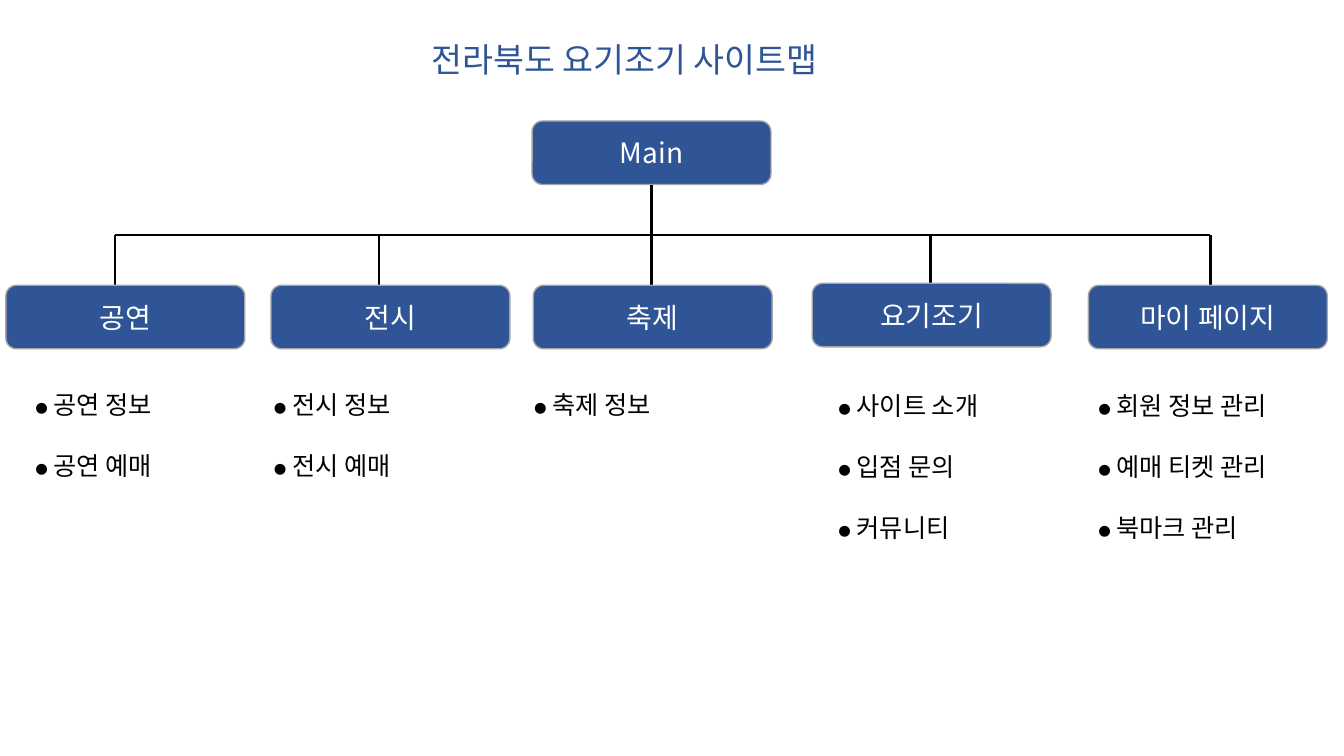
from dataclasses import dataclass

from lxml import etree
from pptx import Presentation
from pptx.dml.color import RGBColor
from pptx.enum import shapes, text
from pptx.oxml import ns
from pptx.slide import Slide
from pptx.text.text import TextFrame
from pptx.util import Cm, Pt

FONT = "Noto Sans CJK KR"
COLORS = {"blue": "2F5597", "border": "A5A5A5", "black": "000000", "white": "FFFFFF"}

# Shared measures in centimetres
NODE_WIDTH, NODE_HEIGHT = 6.02, 1.6
MAIN_LEFT, MAIN_TOP = 13.41, 3.05
MAIN_AXIS = 16.41
BUS_TOP, BRANCH_TOP = 5.92, 7.19
LIST_WIDTH, LIST_INDENT = 6.2, 0.46
LIST_LINE = 21.8  # points


@dataclass
class Branch:
    label: str
    left: float
    axis: float
    list_left: float
    items: list[str]
    top: float = BRANCH_TOP
    list_top: float = 9.68


BRANCHES = [
    Branch("공연", 0.15, 2.9, 0.64, ["공연 정보", "공연 예매"]),
    Branch("전시", 6.83, 9.55, 6.65, ["전시 정보", "전시 예매"]),
    Branch("축제", 13.44, MAIN_AXIS, 13.21, ["축제 정보"]),
    Branch("요기조기", 20.47, 23.44, 20.88, ["사이트 소개", "입점 문의", "커뮤니티"],
           top=7.14, list_top=9.7),
    Branch("마이 페이지", 27.43, 30.5, 27.43,
           ["회원 정보 관리", "예매 티켓 관리", "북마크 관리"], list_top=9.7),
]


def color(name: str) -> RGBColor:
    return RGBColor.from_string(COLORS[name])


def style_text(frame: TextFrame, size: int, color_name: str) -> None:
    for paragraph in frame.paragraphs:
        for span in paragraph.runs:
            span.font.name = FONT
            span.font.size = Pt(size)
            span.font.color.rgb = color(color_name)
            east_asian = etree.SubElement(span.font._element, ns.qn("a:ea"))
            east_asian.set("typeface", FONT)


def add_title(page: Slide, wording: str) -> None:
    box = page.shapes.add_textbox(Cm(10.62), Cm(0.84), Cm(11.58), Cm(1.28))
    frame = box.text_frame
    frame.word_wrap = True
    frame.vertical_anchor = text.MSO_ANCHOR.MIDDLE
    frame.text = wording
    style_text(frame, 24, "blue")


def add_node(page: Slide, label: str, left: float, top: float) -> None:
    node = page.shapes.add_shape(shapes.MSO_SHAPE.ROUNDED_RECTANGLE,
                                 Cm(left), Cm(top), Cm(NODE_WIDTH), Cm(NODE_HEIGHT))
    node.shadow.inherit = False
    node.fill.solid()
    node.fill.fore_color.rgb = color("blue")
    node.line.color.rgb = color("border")
    node.line.width = Pt(1)
    frame = node.text_frame
    frame.text = label
    frame.vertical_anchor = text.MSO_ANCHOR.MIDDLE
    frame.paragraphs[0].alignment = text.PP_ALIGN.CENTER
    style_text(frame, 20, "white")


def add_line(page: Slide, x1: float, y1: float, x2: float, y2: float) -> None:
    line = page.shapes.add_connector(shapes.MSO_CONNECTOR.STRAIGHT,
                                     Cm(x1), Cm(y1), Cm(x2), Cm(y2))
    line.line.color.rgb = color("black")
    line.line.width = Pt(2)
    etree.SubElement(line._element.spPr, ns.qn("a:effectLst"))


def add_list(page: Slide, branch: Branch) -> None:
    height = Pt(LIST_LINE * (2 * len(branch.items) - 1)) + Cm(0.25)
    box = page.shapes.add_textbox(Cm(branch.list_left), Cm(branch.list_top),
                                  Cm(LIST_WIDTH), height)
    frame = box.text_frame
    frame.word_wrap = True
    frame.text = "\n".join(branch.items)
    for index, paragraph in enumerate(frame.paragraphs):
        paragraph.line_spacing = Pt(LIST_LINE)
        paragraph.space_before = Pt(LIST_LINE if index else 0)
        properties = paragraph._p.get_or_add_pPr()
        properties.set("marL", str(Cm(LIST_INDENT)))
        properties.set("indent", str(-Cm(LIST_INDENT)))
        etree.SubElement(properties, ns.qn("a:buFont")).set("typeface", FONT)
        etree.SubElement(properties, ns.qn("a:buChar")).set("char", "⦁")
    style_text(frame, 18, "black")


def main() -> None:
    deck = Presentation()
    deck.slide_width, deck.slide_height = Cm(33.87), Cm(19.05)
    page = deck.slides.add_slide(deck.slide_layouts[6])

    # Title and root
    add_title(page, "전라북도 요기조기 사이트맵")
    add_node(page, "Main", MAIN_LEFT, MAIN_TOP)

    # Trunk and horizontal bus
    add_line(page, MAIN_AXIS, MAIN_TOP + NODE_HEIGHT, MAIN_AXIS, BUS_TOP)
    add_line(page, BRANCHES[0].axis, BUS_TOP, BRANCHES[-1].axis, BUS_TOP)

    # Branches with their pages
    for branch in BRANCHES:
        add_line(page, branch.axis, BUS_TOP, branch.axis, BRANCH_TOP)
        add_node(page, branch.label, branch.left, branch.top)
        add_list(page, branch)

    deck.save("out.pptx")


if __name__ == "__main__":
    main()
